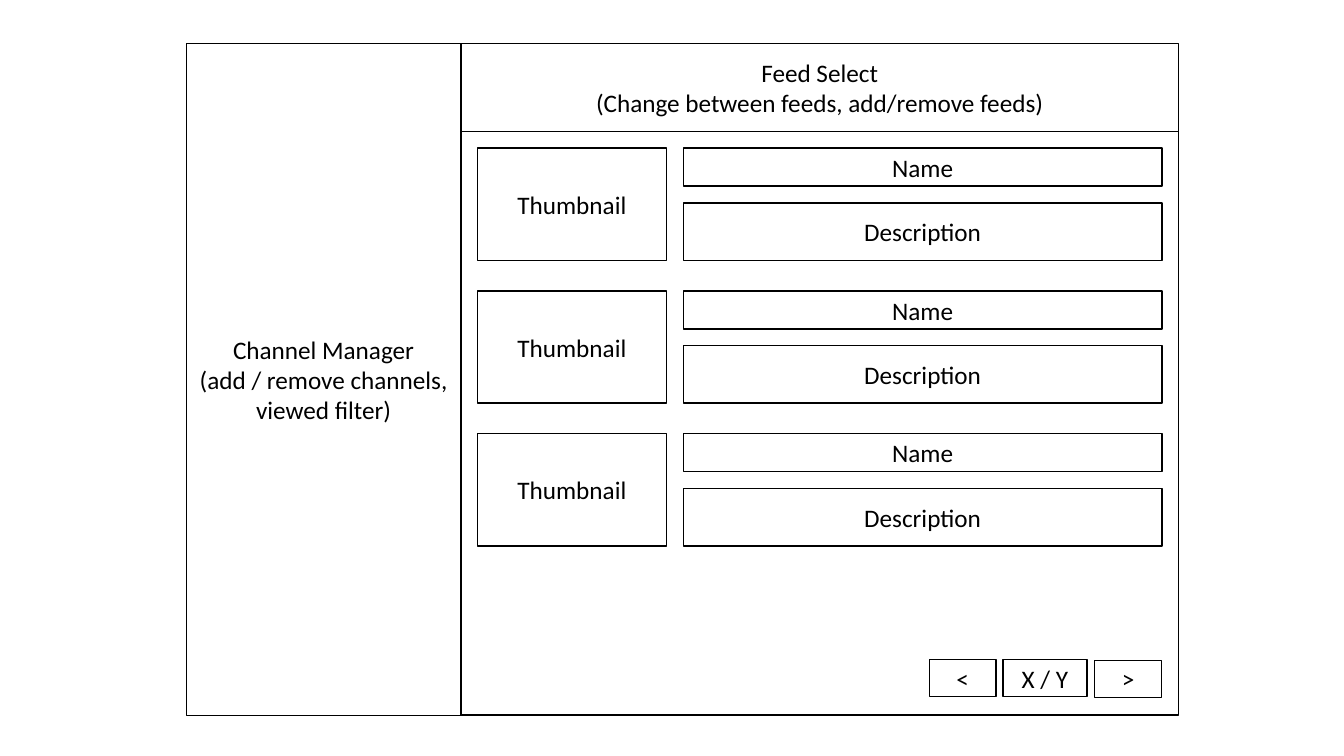
"""Draw a wireframe of a feed reader with channels, feed entries and paging."""
from pptx import Presentation
from pptx.dml.color import RGBColor
from pptx.enum.shapes import MSO_SHAPE
from pptx.enum.text import MSO_ANCHOR, PP_ALIGN
from pptx.util import Pt

RECT = MSO_SHAPE.RECTANGLE
MIDDLE = MSO_ANCHOR.MIDDLE
CENTER = PP_ALIGN.CENTER
BLACK = "000000"
WHITE = "FFFFFF"


def color(hex):
    return RGBColor.from_string(hex)


def add_box(left, top, width, height, *lines):
    box = slide.shapes.add_shape(RECT, Pt(left), Pt(top), Pt(width), Pt(height))
    box.shadow.inherit = False
    box.fill.solid()
    box.fill.fore_color.rgb = color(WHITE)
    box.line.color.rgb = color(BLACK)
    box.line.width = Pt(1)
    frame = box.text_frame
    frame.word_wrap = True
    frame.vertical_anchor = MIDDLE
    for i, line in enumerate(lines):
        para = frame.add_paragraph() if i else frame.paragraphs[0]
        para.alignment = CENTER
        run = para.add_run()
        run.text = line
        run.font.name = "Calibri"
        run.font.size = Pt(18)
        run.font.color.rgb = color(BLACK)


deck = Presentation()
deck.slide_width = Pt(960)
deck.slide_height = Pt(540)
slide = deck.slides.add_slide(deck.slide_layouts[6])

add_box(329.3, 93.8, 512.5, 417)
add_box(329.3, 31, 512.5, 62.8, "Feed Select",
        "(Change between feeds, add/remove feeds)")
add_box(133, 31, 196.3, 480, "Channel Manager",
        "(add / remove channels, viewed filter)")

for row in range(3):
    top = 105.8 + row * 102
    add_box(341, top, 135, 80.2, "Thumbnail")
    add_box(488, top, 342, 27.2, "Name")
    add_box(488, top + 39.2, 342, 41, "Description")

for left, top, width, label in [
    (663.8, 471, 47.6, "<"),
    (716.4, 471, 60, "X / Y"),
    (782, 471.6, 47.6, ">"),
]:
    add_box(left, top, width, 26.6, label)

deck.save("out.pptx")
